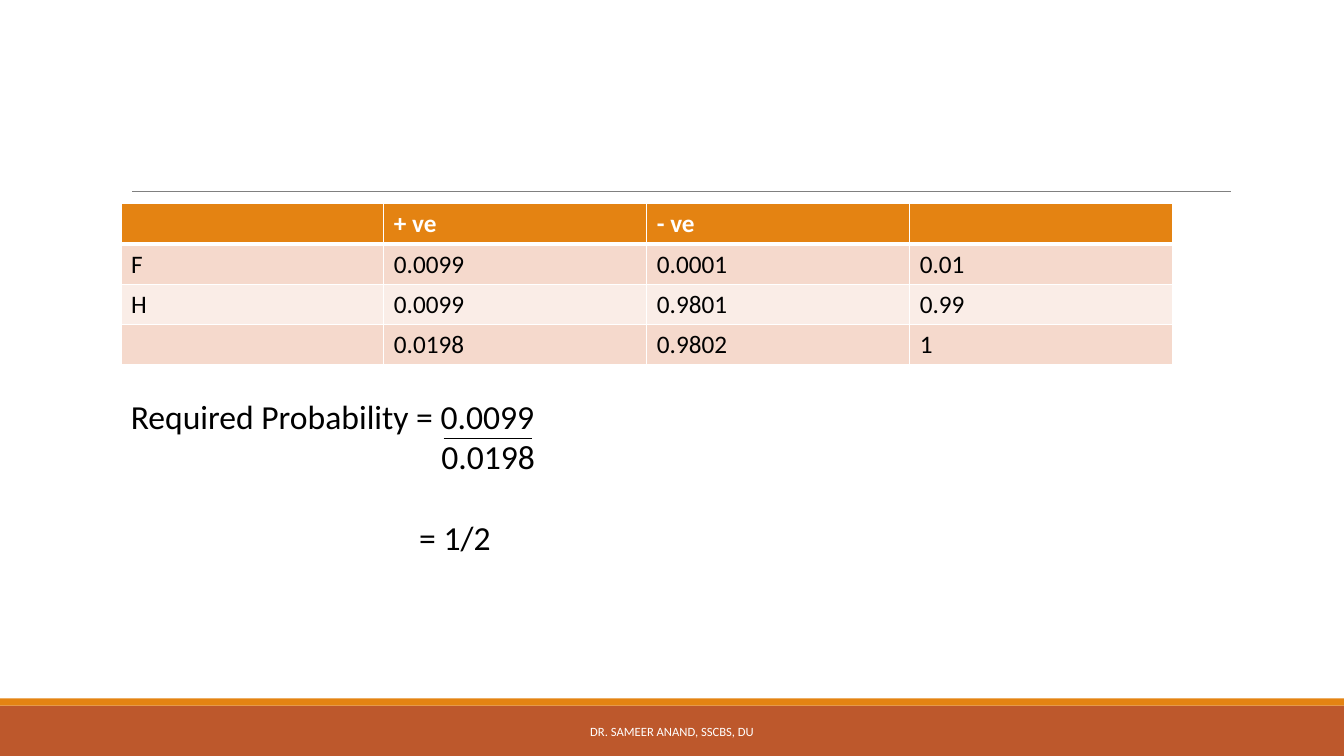
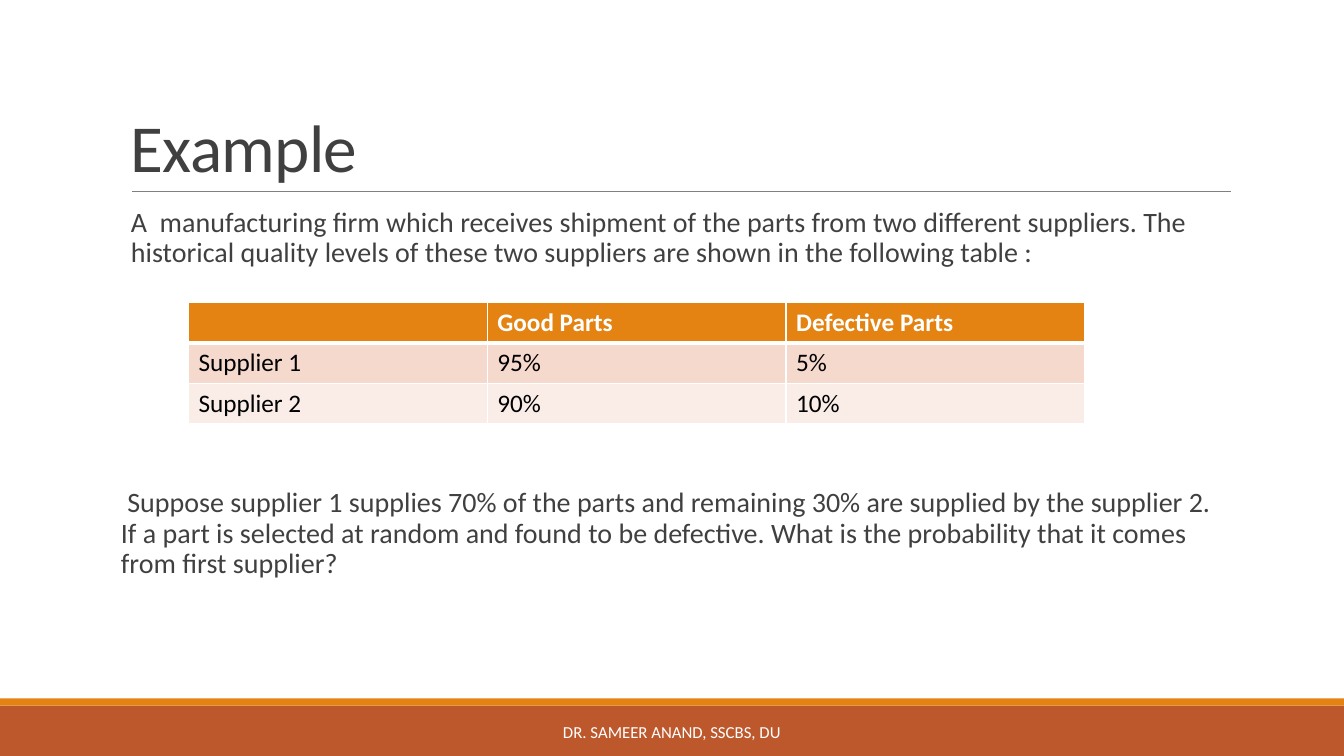
from dataclasses import dataclass

from lxml.etree import SubElement
from pptx import Presentation
from pptx.dml.color import RGBColor
from pptx.enum.shapes import MSO_CONNECTOR, MSO_SHAPE
from pptx.enum.text import MSO_ANCHOR, PP_ALIGN
from pptx.oxml.ns import qn
from pptx.slide import Slide
from pptx.table import _Cell
from pptx.text.text import TextFrame, _Paragraph
from pptx.util import Inches, Pt

FONT = "Calibri"
WHITE = RGBColor(0xFF, 0xFF, 0xFF)
BLACK = RGBColor(0x00, 0x00, 0x00)
DARK_GREY = RGBColor(0x40, 0x40, 0x40)
RULE_GREY = RGBColor(0x80, 0x80, 0x80)
ORANGE = RGBColor(0xE4, 0x83, 0x12)
RUST = RGBColor(0xBD, 0x58, 0x2C)
ROW_TINTS = (RGBColor(0xF5, 0xD9, 0xCC), RGBColor(0xFA, 0xED, 0xE7))

SLIDE_WIDTH = 13.33
CONTENT_LEFT = 1.2
CONTENT_WIDTH = 11
ROW_HEIGHT = 0.4
THIN, THICK = 1, 3
FOOTER = "DR. SAMEER ANAND, SSCBS, DU"


@dataclass(frozen=True)
class Band:
    top: float
    height: float
    color: RGBColor


@dataclass(frozen=True)
class DataTable:
    left: float
    top: float
    width: float
    rows: tuple[tuple[str, ...], ...]


@dataclass(frozen=True)
class Line:
    """One line of the worked answer, indented from the text edge."""
    text: str
    indent: float = 0
    space_before: float = 0


@dataclass(frozen=True)
class BodyText:
    top: float
    height: float
    inset: float
    text: str


BANDS = (Band(7, 0.5, RUST), Band(6.93, 0.07, ORANGE))

TEST_RESULTS = DataTable(1.2, 2.02, 10.43, (
    ("", "+ ve", "- ve", ""),
    ("F", "0.0099", "0.0001", "0.01"),
    ("H", "0.0099", "0.9801", "0.99"),
    ("", "0.0198", "0.9802", "1"),
))
ANSWER = (
    Line("Required Probability = 0.0099"),
    Line("0.0198", indent=3.08),
    Line("= 1/2", indent=2.86, space_before=29),
)

SUPPLIER_QUALITY = DataTable(1.87, 3, 8.89, (
    ("", "Good Parts", "Defective Parts"),
    ("Supplier 1", "95%", "5%"),
    ("Supplier 2", "90%", "10%"),
))
QUESTION = (
    BodyText(2.02, 0.8, 0.1,
             "A  manufacturing firm which receives shipment of the parts from two "
             "different suppliers. The historical quality levels of these two "
             "suppliers are shown in the following table :"),
    BodyText(4.8, 1.1, 0,
             " Suppose supplier 1 supplies 70% of the parts and remaining 30% are "
             "supplied by the supplier 2. If a part is selected at random and found "
             "to be defective. What is the probability that it comes from first "
             "supplier?"),
)


def set_font(paragraph: _Paragraph, size: float, color: RGBColor, bold: bool = False) -> None:
    paragraph.font.name = FONT
    paragraph.font.size = Pt(size)
    paragraph.font.bold = bold
    paragraph.font.color.rgb = color


def add_text_frame(slide: Slide, left: float, top: float, width: float, height: float,
                   anchor: MSO_ANCHOR = MSO_ANCHOR.TOP) -> TextFrame:
    box = slide.shapes.add_textbox(Inches(left), Inches(top), Inches(width), Inches(height))
    frame = box.text_frame
    frame.word_wrap = True
    frame.vertical_anchor = anchor
    return frame


def add_rule(slide: Slide, left: float, right: float, y: float,
             color: RGBColor, weight: float) -> None:
    """Draw a horizontal line without a shadow."""
    rule = slide.shapes.add_connector(
        MSO_CONNECTOR.STRAIGHT, Inches(left), Inches(y), Inches(right), Inches(y))
    rule.line.color.rgb = color
    rule.line.width = Pt(weight)
    SubElement(rule._element.spPr, qn("a:effectLst"))


def add_base_slide(deck: Presentation, footer_size: float) -> Slide:
    """Add a slide with the shared bands, title rule and footer."""
    slide = deck.slides.add_slide(deck.slide_layouts[6])
    for band in BANDS:
        strip = slide.shapes.add_shape(
            MSO_SHAPE.RECTANGLE, 0, Inches(band.top), Inches(SLIDE_WIDTH), Inches(band.height))
        strip.shadow.inherit = False
        strip.fill.solid()
        strip.fill.fore_color.rgb = band.color
        strip.line.fill.background()
    add_rule(slide, 1.31, 12.21, 1.9, RULE_GREY, 0.5)

    footer = add_text_frame(slide, 4.03, 7.06, 5.27, 0.4, MSO_ANCHOR.MIDDLE).paragraphs[0]
    footer.text = FOOTER
    footer.alignment = PP_ALIGN.CENTER
    set_font(footer, footer_size, WHITE)
    return slide


def add_title(slide: Slide, text: str) -> None:
    frame = add_text_frame(slide, CONTENT_LEFT, 0.31, CONTENT_WIDTH, 1.59, MSO_ANCHOR.BOTTOM)
    title = frame.paragraphs[0]
    title.line_spacing = 0.85
    run = title.add_run()
    run.text = text
    set_font(title, 48, DARK_GREY)
    run._r.get_or_add_rPr().set("spc", "-50")


def set_borders(cell: _Cell, top: float, bottom: float) -> None:
    """Give a cell white borders; call before its fill is set."""
    properties = cell._tc.get_or_add_tcPr()
    for side, weight in (("L", THIN), ("R", THIN), ("T", top), ("B", bottom)):
        border = SubElement(properties, qn(f"a:ln{side}"), w=str(Pt(weight)))
        fill = SubElement(border, qn("a:solidFill"))
        SubElement(fill, qn("a:srgbClr"), val=str(WHITE))


def add_data_table(slide: Slide, data: DataTable) -> None:
    row_count, column_count = len(data.rows), len(data.rows[0])
    table = slide.shapes.add_table(
        row_count, column_count, Inches(data.left), Inches(data.top),
        Inches(data.width), Inches(ROW_HEIGHT * row_count)).table
    table.horz_banding = False
    for row, values in enumerate(data.rows):
        is_header = row == 0
        for column, value in enumerate(values):
            cell = table.cell(row, column)
            set_borders(cell, THICK if row == 1 else THIN, THICK if is_header else THIN)
            cell.fill.solid()
            cell.fill.fore_color.rgb = ORANGE if is_header else ROW_TINTS[(row - 1) % 2]
            cell.text = value
            set_font(cell.text_frame.paragraphs[0], 18,
                     WHITE if is_header else BLACK, bold=is_header)


def add_answer(slide: Slide) -> None:
    frame = add_text_frame(slide, CONTENT_LEFT, 3.88, 7.36, 1.72)
    for number, line in enumerate(ANSWER):
        paragraph = frame.add_paragraph() if number else frame.paragraphs[0]
        paragraph.text = line.text
        paragraph.space_before = Pt(line.space_before)
        paragraph._p.get_or_add_pPr().set("marL", str(Inches(line.indent)))
        set_font(paragraph, 24, BLACK)
    add_rule(slide, 4.4, 5.28, 4.35, BLACK, 1)


def add_body_text(slide: Slide, body: BodyText) -> None:
    frame = add_text_frame(slide, CONTENT_LEFT, body.top, CONTENT_WIDTH, body.height)
    frame.margin_left = Inches(body.inset)
    frame.margin_right = 0
    paragraph = frame.paragraphs[0]
    paragraph.text = body.text
    paragraph.line_spacing = 0.9
    set_font(paragraph, 20, DARK_GREY)


def main() -> None:
    deck = Presentation()
    deck.slide_width = Inches(SLIDE_WIDTH)
    deck.slide_height = Inches(7.5)

    solution = add_base_slide(deck, footer_size=9)
    add_data_table(solution, TEST_RESULTS)
    add_answer(solution)

    example = add_base_slide(deck, footer_size=12)
    add_title(example, "Example")
    for body in QUESTION:
        add_body_text(example, body)
    add_data_table(example, SUPPLIER_QUALITY)

    deck.save("out.pptx")


if __name__ == "__main__":
    main()
